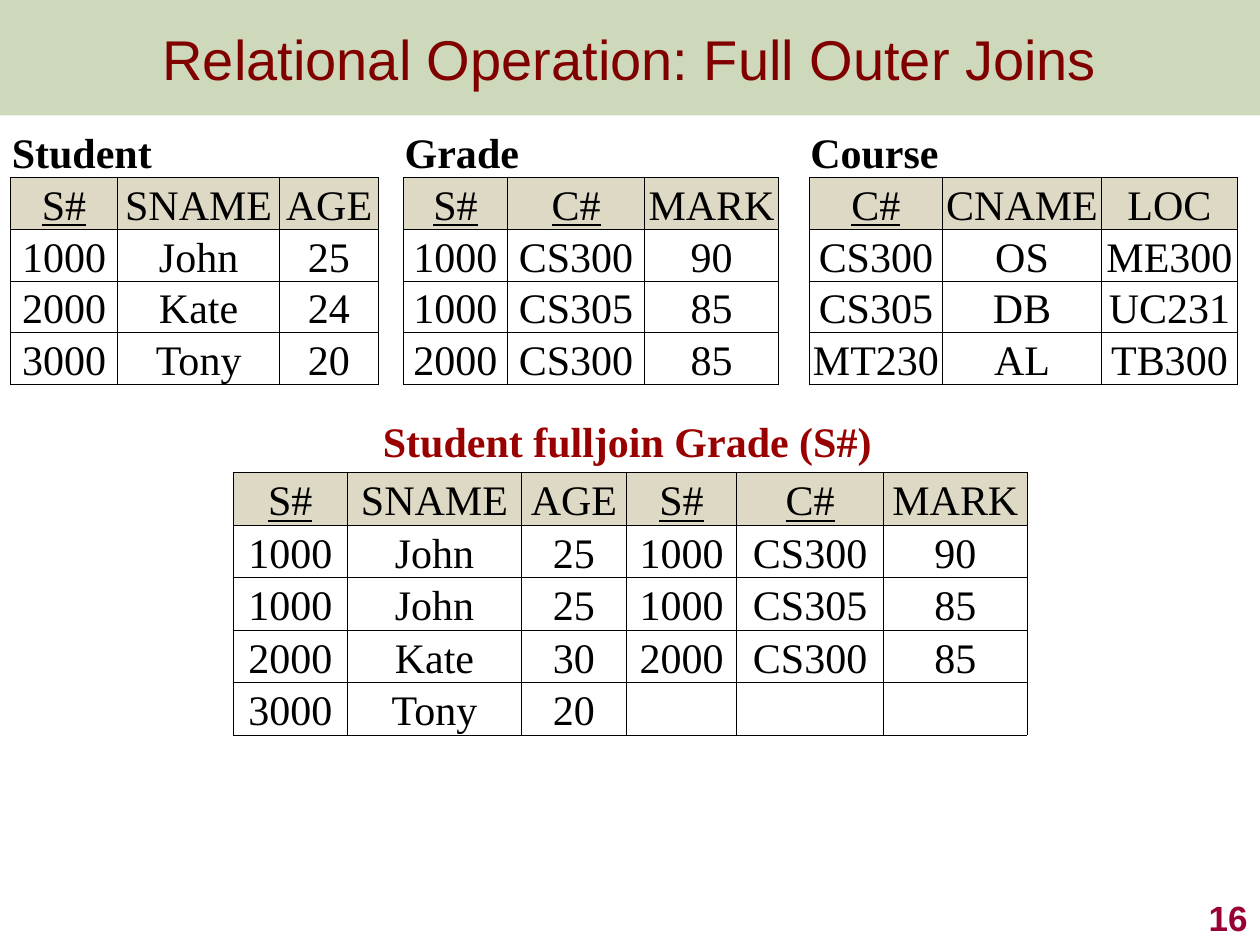
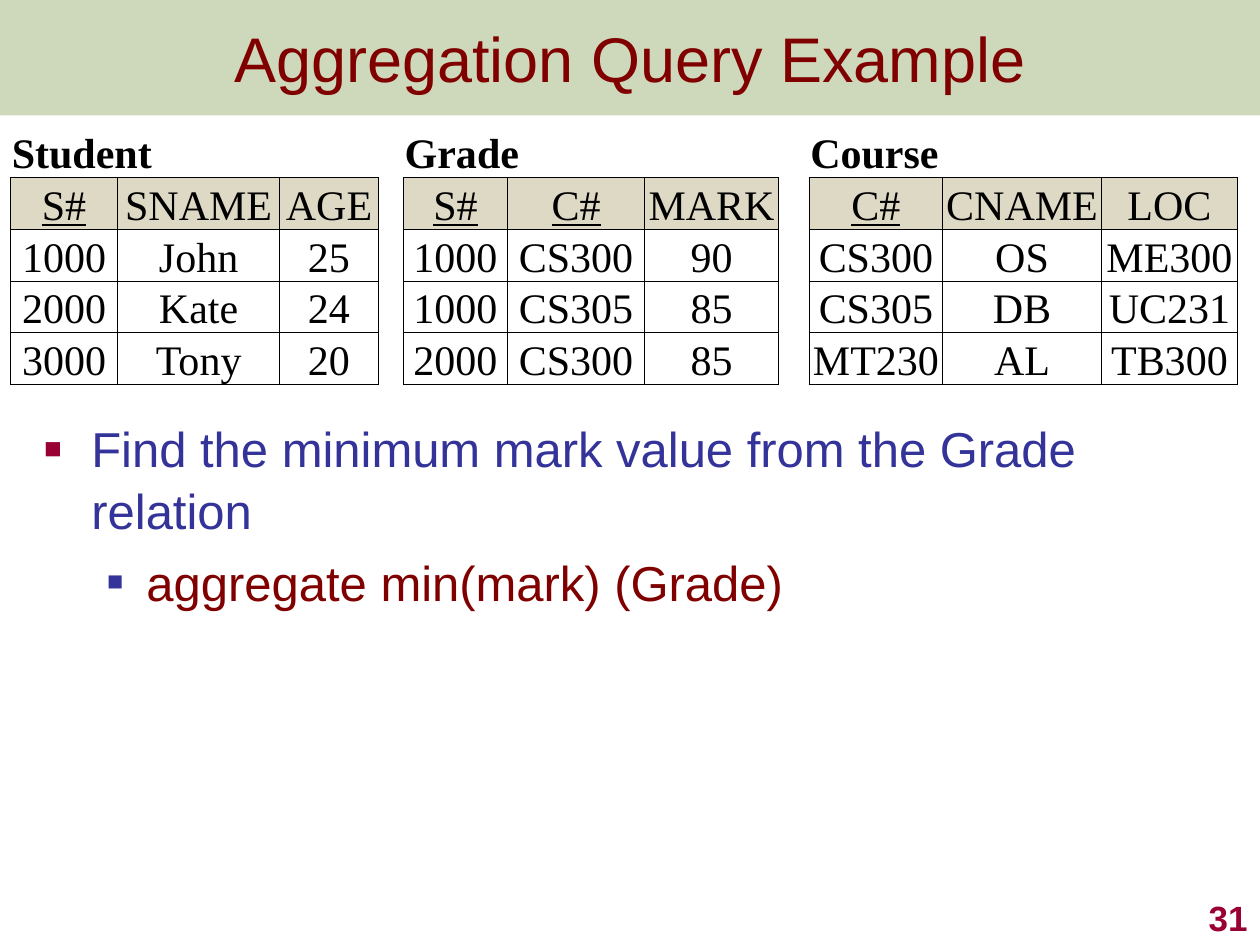
from dataclasses import dataclass
from typing import Optional

from lxml.etree import SubElement
from pptx import Presentation
from pptx.dml.color import RGBColor
from pptx.enum.text import MSO_ANCHOR, MSO_AUTO_SIZE, PP_ALIGN
from pptx.oxml import parse_xml
from pptx.oxml.ns import nsdecls, qn
from pptx.util import Pt

COLORS = {
    "band": "5F8422",
    "maroon": "800000",
    "page": "990033",
    "caption": "990000",
    "bullet": "333399",
    "header": "DDD9C4",
    "white": "FFFFFF",
    "black": "000000",
}
SANS, SERIF = "Arial", "Times New Roman"
KEYS = {"S#", "C#"}
BORDER = Pt(0.5)
TITLE_ONLY, TITLE_AND_BODY = 5, 1


@dataclass(frozen=True)
class Relation:
    name: str
    widths: tuple[float, ...]
    rows: tuple[tuple[str, ...], ...]
    gap: float = 0


@dataclass(frozen=True)
class Bullet:
    text: str
    color: str
    mark_color: str
    mark_size: int
    indent: float
    hanging: float
    before: float


RELATIONS = (
    Relation("Student", (61.2, 92.6, 56.4), (
        ("S#", "SNAME", "AGE"),
        ("1000", "John", "25"),
        ("2000", "Kate", "24"),
        ("3000", "Tony", "20"),
    ), gap=14.4),
    Relation("Grade", (59.4, 78.4, 76.5), (
        ("S#", "C#", "MARK"),
        ("1000", "CS300", "90"),
        ("1000", "CS305", "85"),
        ("2000", "CS300", "85"),
    ), gap=17.5),
    Relation("Course", (76.5, 90.5, 78), (
        ("C#", "CNAME", "LOC"),
        ("CS300", "OS", "ME300"),
        ("CS305", "DB", "UC231"),
        ("MT230", "AL", "TB300"),
    )),
)

FULL_JOIN = Relation("Student fulljoin Grade (S#)", (65.4, 99.4, 60, 63, 84, 82), (
    ("S#", "SNAME", "AGE", "S#", "C#", "MARK"),
    ("1000", "John", "25", "1000", "CS300", "90"),
    ("1000", "John", "25", "1000", "CS305", "85"),
    ("2000", "Kate", "30", "2000", "CS300", "85"),
    ("3000", "Tony", "20", "", "", ""),
))

BULLETS = (
    Bullet("Find the minimum mark value from the Grade relation",
           "bullet", "page", 60, 27, 27, 0),
    Bullet("aggregate min(mark) (Grade)",
           "maroon", "bullet", 55, 58.5, 22.5, 5.6),
)


def write(p, text: str, *, size: float = 24, font: str = SERIF,
          color: str = "black", bold: bool = False, underline: bool = False,
          align: PP_ALIGN = PP_ALIGN.LEFT) -> None:
    p.alignment = align
    r = p.add_run()
    r.text = text
    r.font.name = font
    r.font.size = Pt(size)
    r.font.bold = bold
    r.font.underline = underline
    r.font.color.rgb = RGBColor.from_string(COLORS[color])


def place(sp, left: float, top: float, width: float, height: float) -> None:
    sp.left, sp.top, sp.width, sp.height = map(Pt, (left, top, width, height))


def add_text(s, left: float, top: float, width: float, height: float,
             text: str, *, wrap: bool = True,
             anchor: MSO_ANCHOR = MSO_ANCHOR.TOP, **style) -> None:
    sp = s.shapes.add_textbox(Pt(left), Pt(top), Pt(width), Pt(height))
    tf = sp.text_frame
    tf.word_wrap = wrap
    tf.vertical_anchor = anchor
    write(tf.paragraphs[0], text, **style)


def add_slide(prs, layout: int, title: str, size: float, number: int):
    s = prs.slides.add_slide(prs.slide_layouts[layout])
    sp = s.shapes.title
    place(sp, 0, 0, 720, 66)
    sp.fill.solid()
    sp.fill.fore_color.rgb = RGBColor.from_string(COLORS["band"])
    color = sp.fill._xPr.find(qn("a:solidFill"))[0]
    SubElement(color, qn("a:alpha")).set("val", "30000")
    tf = sp.text_frame
    tf.auto_size = MSO_AUTO_SIZE.NONE
    tf.vertical_anchor = MSO_ANCHOR.MIDDLE
    write(tf.paragraphs[0], title, size=size, font=SANS, color="maroon",
          align=PP_ALIGN.CENTER)
    add_text(s, 570, 504, 150, 36, str(number), anchor=MSO_ANCHOR.BOTTOM,
             size=20, font=SANS, color="page", bold=True, align=PP_ALIGN.RIGHT)
    return s


def format_cell(cell, fill: str, sides: str) -> None:
    cell.margin_left = cell.margin_right = cell.margin_top = Pt(0.72)
    cell.margin_bottom = Pt(0)
    cell.vertical_anchor = MSO_ANCHOR.BOTTOM
    cell.fill.solid()
    cell.fill.fore_color.rgb = RGBColor.from_string(COLORS[fill])
    tcPr = cell._tc.get_or_add_tcPr()
    for i, side in enumerate("LRTB"):
        line = (f'<a:solidFill><a:srgbClr val="{COLORS["black"]}"/></a:solidFill>'
                if side in sides else "<a:noFill/>")
        tcPr.insert(i, parse_xml(
            f'<a:ln{side} {nsdecls("a")} w="{BORDER}">{line}</a:ln{side}>'))


def add_grid(s, left: float, top: float, widths: list[float], rows: int,
             height: float):
    tbl = s.shapes.add_table(rows, len(widths), Pt(left), Pt(top),
                             Pt(sum(widths)), Pt(rows * height)).table
    tbl.first_row = tbl.horz_banding = False
    for col, width in zip(tbl.columns, widths):
        col.width = Pt(width)
    for row in tbl.rows:
        row.height = Pt(height)
    return tbl


def fill_relation(tbl, rel: Relation, row0: int, col0: int) -> None:
    for i, values in enumerate(rel.rows):
        for j, value in enumerate(values):
            cell = tbl.cell(row0 + i, col0 + j)
            format_cell(cell, "white" if i else "header", "LRTB")
            if value:
                write(cell.text_frame.paragraphs[0], value,
                      underline=value in KEYS, align=PP_ALIGN.CENTER)


def add_relations(s) -> None:
    widths: list[float] = []
    for rel in RELATIONS:
        widths += rel.widths + ((rel.gap,) if rel.gap else ())
    rows = 1 + len(RELATIONS[0].rows)
    tbl = add_grid(s, 6, 72, widths, rows, 27.4)
    col = 0
    for rel in RELATIONS:
        end = col + len(rel.widths)
        for j in range(col, end):
            format_cell(tbl.cell(0, j), "white", "B")
        tbl.cell(0, col).merge(tbl.cell(0, end - 1))
        write(tbl.cell(0, col).text_frame.paragraphs[0], rel.name, bold=True)
        fill_relation(tbl, rel, 1, col)
        if rel.gap:
            for i in range(rows):
                format_cell(tbl.cell(i, end), "white", "LR" if i else "")
        col = end + 1


def add_join(s, rel: Relation) -> None:
    add_text(s, 211.7, 234, 296.6, 36, rel.name, wrap=False,
             color="caption", bold=True)
    tbl = add_grid(s, 133.2, 270, list(rel.widths), len(rel.rows), 30)
    fill_relation(tbl, rel, 0, 0)


def add_mark(p, b: Bullet) -> None:
    pPr = p._p.get_or_add_pPr()
    pPr.set("marL", str(Pt(b.indent)))
    pPr.set("indent", str(-Pt(b.hanging)))
    color = SubElement(SubElement(pPr, qn("a:buClr")), qn("a:srgbClr"))
    color.set("val", COLORS[b.mark_color])
    SubElement(pPr, qn("a:buSzPct")).set("val", str(b.mark_size * 1000))
    SubElement(pPr, qn("a:buFont")).set("typeface", SANS)
    SubElement(pPr, qn("a:buChar")).set("char", "■")


def fill_body(sp, bullets: tuple[Bullet, ...]) -> None:
    place(sp, 18, 234, 666.7, 72)
    tf = sp.text_frame
    tf.auto_size = MSO_AUTO_SIZE.NONE
    tf.margin_right = Pt(0)
    p: Optional[object] = None
    for level, b in enumerate(bullets):
        p = tf.add_paragraph() if level else tf.paragraphs[0]
        p.level = level
        add_mark(p, b)
        p.line_spacing = 1.05
        p.space_before = Pt(b.before)
        write(p, b.text, size=28, font=SANS, color=b.color)


def main() -> None:
    prs = Presentation()
    prs.slide_width, prs.slide_height = Pt(720), Pt(540)

    s = add_slide(prs, TITLE_ONLY, "Relational Operation: Full Outer Joins", 32, 16)
    add_relations(s)
    add_join(s, FULL_JOIN)

    s = add_slide(prs, TITLE_AND_BODY, "Aggregation Query Example", 36, 31)
    fill_body(s.placeholders[1], BULLETS)
    add_relations(s)

    prs.save("out.pptx")


if __name__ == "__main__":
    main()
